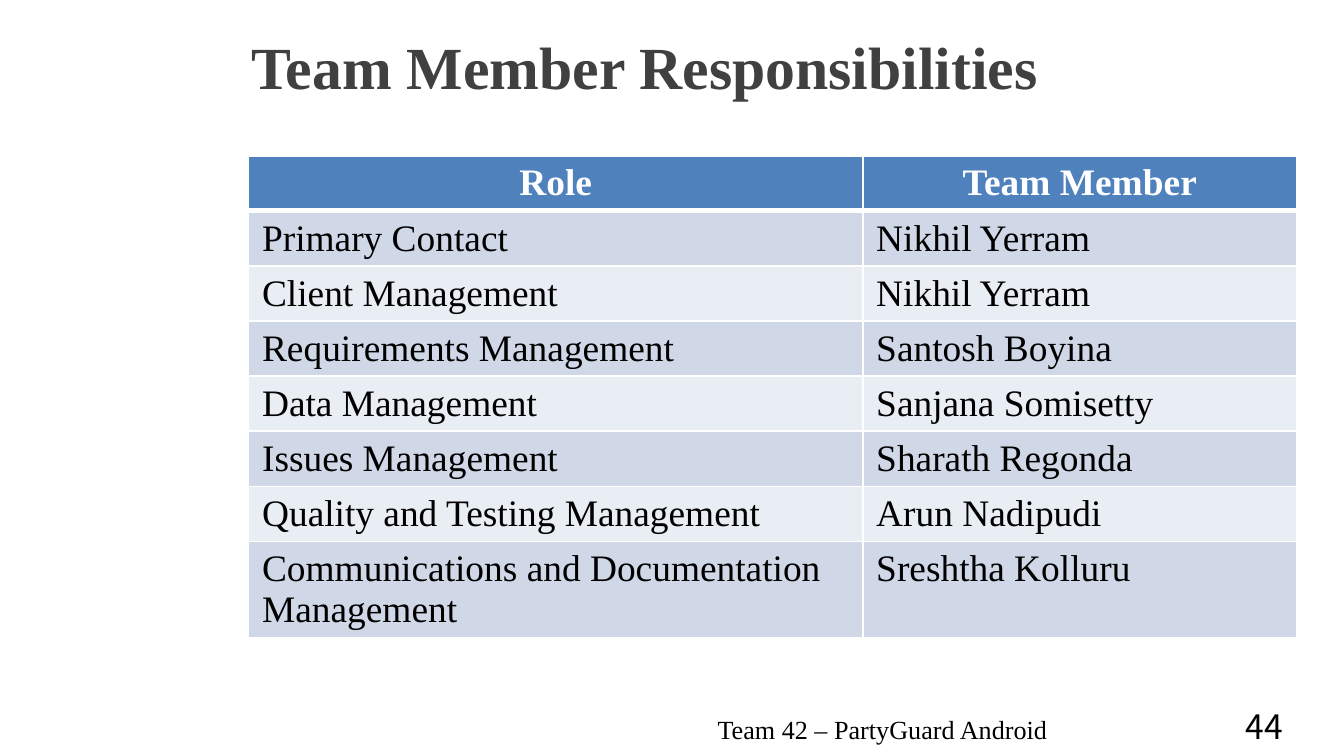
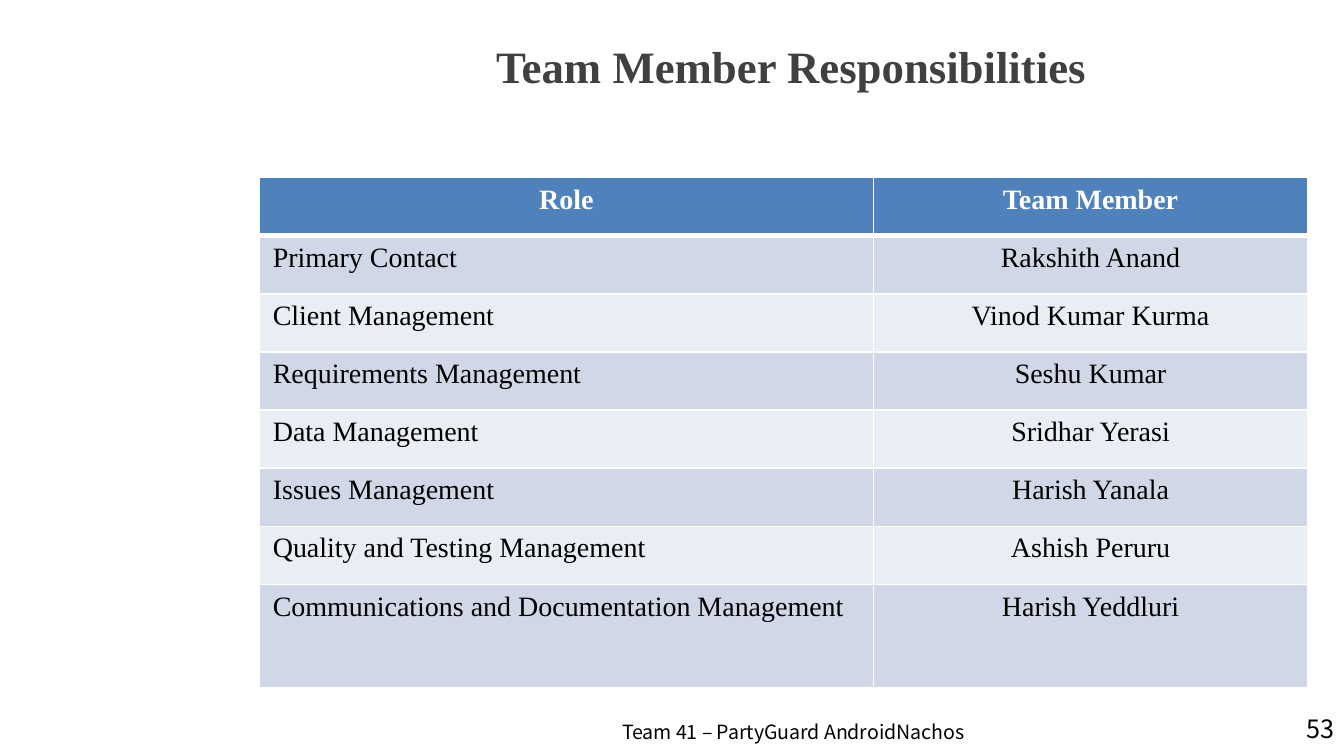
"""Build two slides listing team member responsibilities."""
from lxml import etree
from pptx import Presentation
from pptx.dml.color import RGBColor
from pptx.enum.text import MSO_ANCHOR, MSO_AUTO_SIZE, PP_ALIGN
from pptx.oxml.ns import qn
from pptx.util import Inches, Pt

LEFT, CENTER = PP_ALIGN.LEFT, PP_ALIGN.CENTER
MIDDLE = MSO_ANCHOR.MIDDLE
NO_FIT, GROW = MSO_AUTO_SIZE.NONE, MSO_AUTO_SIZE.SHAPE_TO_FIT_TEXT

WHITE = RGBColor(0xFF, 0xFF, 0xFF)
BLACK = RGBColor(0, 0, 0)
TITLE_GRAY = RGBColor(0x40, 0x40, 0x40)
HEADER_BLUE = RGBColor(0x4F, 0x81, 0xBD)
BANDS = (RGBColor(0xD0, 0xD8, 0xE8), RGBColor(0xE9, 0xED, 0xF4))

SERIF = "Times New Roman"
SANS = "Noto Sans CJK KR"

SLIDE_WIDTH = 10
SLIDE_HEIGHT = SLIDE_WIDTH * 9 / 16
TITLE_ONLY = 5
TITLE = "Team Member Responsibilities"
HEADINGS = ("Role", "Team Member")
COLUMN_WIDTHS = (4.57, 3.23)
TABLE_HEIGHT = 3.8
LAST_ROW_HEIGHT = 0.77
ROLES = (
    "Primary Contact",
    "Client Management",
    "Requirements Management",
    "Data Management",
    "Issues Management",
    "Quality and Testing Management",
    "Communications and Documentation Management",
)
TEAM_42 = (
    "Nikhil Yerram",
    "Nikhil Yerram",
    "Santosh Boyina",
    "Sanjana Somisetty",
    "Sharath Regonda",
    "Arun Nadipudi",
    "Sreshtha Kolluru",
)
TEAM_41 = (
    "Rakshith Anand",
    "Vinod Kumar Kurma",
    "Seshu Kumar",
    "Sridhar Yerasi",
    "Harish Yanala",
    "Ashish Peruru",
    "Harish Yeddluri",
)


def write_text(frame, text, size, font=SERIF, color=BLACK, bold=False, align=LEFT):
    """Write one formatted run into the first paragraph of a frame."""
    paragraph = frame.paragraphs[0]
    paragraph.alignment = align
    run = paragraph.add_run()
    run.text = text
    run.font.name = font
    run.font.size = Pt(size)
    run.font.bold = bold
    run.font.color.rgb = color


def add_title_slide(presentation, size, align):
    """Add a slide with the shared title and return it."""
    slide = presentation.slides.add_slide(presentation.slide_layouts[TITLE_ONLY])
    title = slide.shapes.title
    title.left, title.top = Inches(1.77), Inches(0)
    title.width, title.height = Inches(8.23), Inches(0.97)
    frame = title.text_frame
    frame.word_wrap = True
    frame.auto_size = NO_FIT
    frame.vertical_anchor = MIDDLE
    write_text(frame, TITLE, size, color=TITLE_GRAY, bold=True, align=align)
    return slide


def set_borders(cell, top, bottom):
    """Give a cell white borders, with top and bottom widths in points."""
    properties = cell._tc.get_or_add_tcPr()
    widths = {"lnL": 1, "lnR": 1, "lnT": top, "lnB": bottom}
    for position, (side, width) in enumerate(widths.items()):
        line = etree.Element(qn(f"a:{side}"), w=str(Pt(width)))
        fill = etree.SubElement(line, qn("a:solidFill"))
        etree.SubElement(fill, qn("a:srgbClr"), val=str(WHITE))
        properties.insert(position, line)


def add_role_table(slide, left, top, row_heights, members, size, member_align):
    """Add the banded table of roles and team members."""
    rows = [HEADINGS, *zip(ROLES, members)]
    table = slide.shapes.add_table(
        len(rows), len(HEADINGS), Inches(left), Inches(top),
        Inches(sum(COLUMN_WIDTHS)), Inches(TABLE_HEIGHT),
    ).table
    for column, width in zip(table.columns, COLUMN_WIDTHS):
        column.width = Inches(width)
    for row_index, (values, height) in enumerate(zip(rows, row_heights)):
        table.rows[row_index].height = Inches(height)
        header = row_index == 0
        aligns = (CENTER, CENTER) if header else (LEFT, member_align)
        for column_index, (text, align) in enumerate(zip(values, aligns)):
            cell = table.cell(row_index, column_index)
            cell.fill.solid()
            cell.fill.fore_color.rgb = HEADER_BLUE if header else BANDS[(row_index - 1) % 2]
            set_borders(cell, 3 if row_index == 1 else 1, 3 if header else 1)
            write_text(cell.text_frame, text, size, color=WHITE if header else BLACK,
                       bold=header, align=align)


def add_footer_text(slide, box, text, size, font=SANS, wrap=False):
    """Add a footer text box at (left, top, width, height)."""
    frame = slide.shapes.add_textbox(*map(Inches, box)).text_frame
    frame.word_wrap = wrap
    frame.auto_size = GROW
    write_text(frame, text, size, font)


def main():
    """Build and save the presentation."""
    presentation = Presentation()
    presentation.slide_width = Inches(SLIDE_WIDTH)
    presentation.slide_height = Inches(SLIDE_HEIGHT)

    slide = add_title_slide(presentation, 32, LEFT)
    add_role_table(slide, 1.85, 1.16, [0.41] * 8, TEAM_42, 20, LEFT)
    add_footer_text(slide, (5.24, 5.26, 2.68, 0.34), "Team 42 – PartyGuard Android",
                    14, SERIF, wrap=True)
    add_footer_text(slide, (9.17, 5.2, 0.48, 0.4), "44", 18)

    slide = add_title_slide(presentation, 24, CENTER)
    row_height = (TABLE_HEIGHT - LAST_ROW_HEIGHT) / len(ROLES)
    row_heights = [row_height] * len(ROLES) + [LAST_ROW_HEIGHT]
    add_role_table(slide, 1.93, 1.32, row_heights, TEAM_41, 15, CENTER)
    add_footer_text(slide, (4.53, 5.31, 2.79, 0.28),
                    "Team 41 – PartyGuard AndroidNachos", 10.5)
    add_footer_text(slide, (9.62, 5.26, 0.41, 0.33), "53", 13.5)

    presentation.save("out.pptx")


if __name__ == "__main__":
    main()
